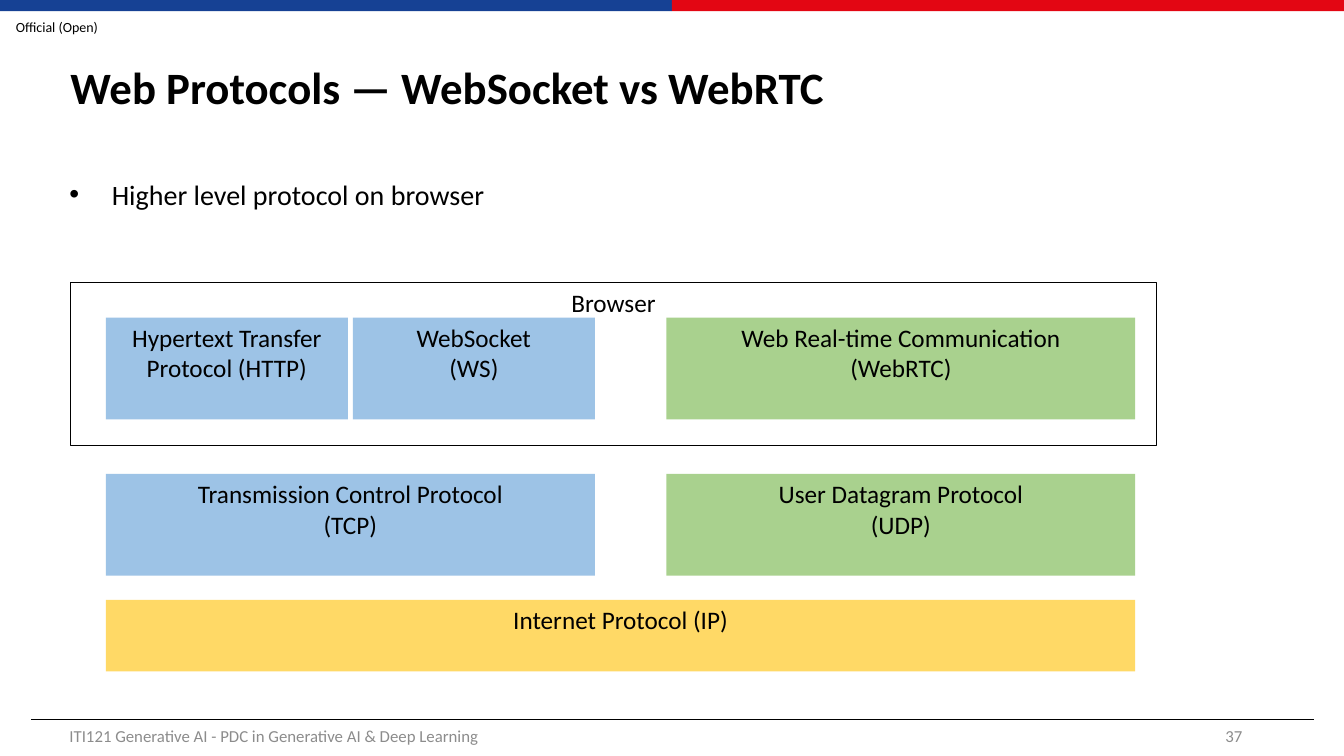
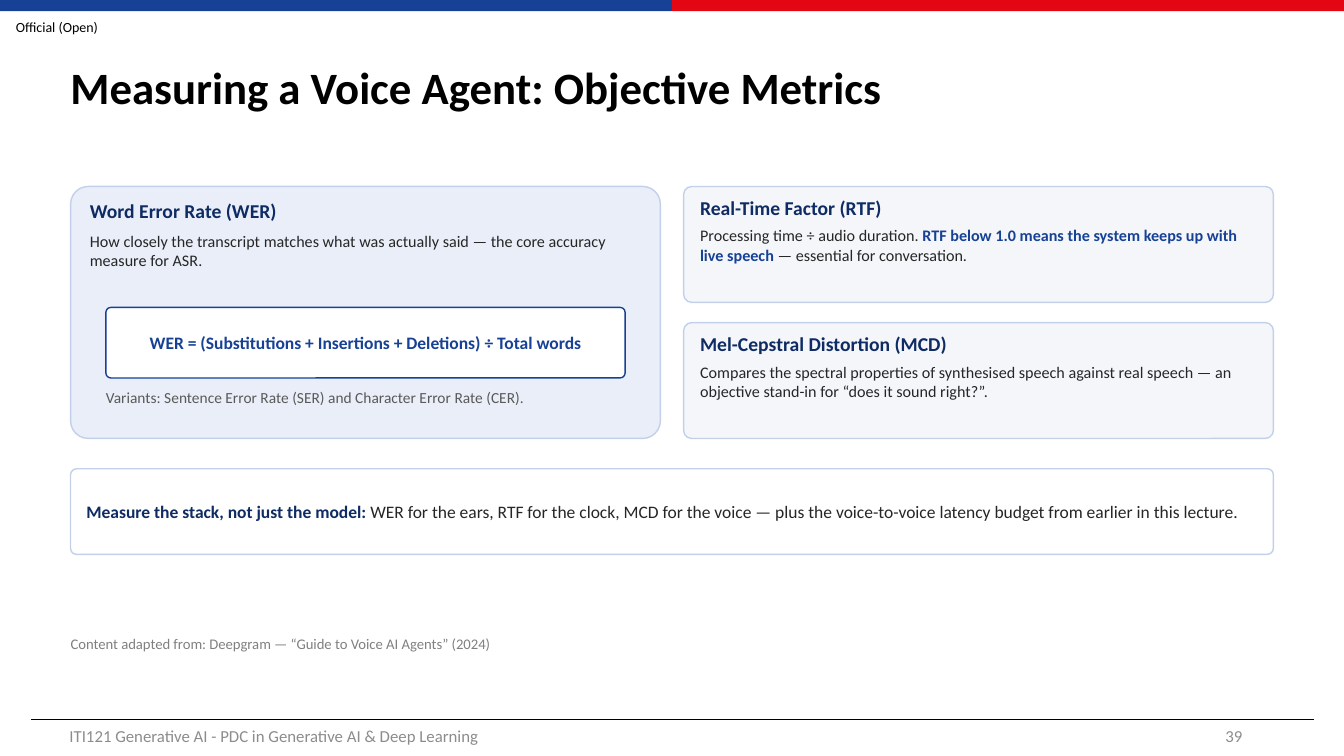
from lxml.etree import SubElement
from pptx import Presentation
from pptx.dml.color import RGBColor
from pptx.enum.shapes import MSO_CONNECTOR, MSO_SHAPE
from pptx.enum.text import MSO_ANCHOR, PP_ALIGN
from pptx.oxml.ns import qn
from pptx.util import Inches, Pt

# Shared look
FONT = "Calibri"
WIDE, HIGH = 13.33, 7.5
BLACK = RGBColor(0x00, 0x00, 0x00)
WHITE = RGBColor(0xFF, 0xFF, 0xFF)
BLUE = RGBColor(0x16, 0x41, 0x94)
RED = RGBColor(0xE3, 0x06, 0x13)
NAVY = RGBColor(0x0E, 0x2B, 0x63)
INK = RGBColor(0x26, 0x26, 0x26)
SLATE = RGBColor(0x59, 0x59, 0x59)
GREY = RGBColor(0x80, 0x80, 0x80)
FOOT = RGBColor(0x8C, 0x8C, 0x8C)
EDGE = RGBColor(0xC3, 0xD0, 0xEA)
PALE = RGBColor(0xE9, 0xEE, 0xF8)
MIST = RGBColor(0xF4, 0xF6, 0xFA)
SKY = RGBColor(0x9D, 0xC3, 0xE6)
GREEN = RGBColor(0xA9, 0xD1, 0x8E)
GOLD = RGBColor(0xFF, 0xD9, 0x66)
LEFT, MID, RIGHT = PP_ALIGN.LEFT, PP_ALIGN.CENTER, PP_ALIGN.RIGHT
TOP, HALF = MSO_ANCHOR.TOP, MSO_ANCHOR.MIDDLE


def write(frame, text, size=18, color=BLACK, bold=False, align=LEFT,
          after=0, lead=1.0, bullet=False, join=False):
    """Add a paragraph, or with join a further run in the last one."""
    if join or not frame.text:
        para = frame.paragraphs[-1]
    else:
        para = frame.add_paragraph()
    if not join:
        para.alignment = align
        para.space_after = Pt(after)
        para.line_spacing = lead
    if bullet:
        props = para._p.get_or_add_pPr()
        props.set("marL", str(Inches(0.42)))
        props.set("indent", str(Inches(-0.42)))
        SubElement(props, qn("a:buFont")).set("typeface", "Arial")
        SubElement(props, qn("a:buChar")).set("char", "•")
    run = para.add_run()
    run.text = text
    font = run.font
    font.name, font.size, font.bold = FONT, Pt(size), bold
    font.color.rgb = color


def setup(frame, anchor, pad):
    frame.word_wrap = True
    frame.vertical_anchor = anchor
    frame.margin_left = frame.margin_right = Inches(pad[0])
    frame.margin_top = frame.margin_bottom = Inches(pad[1])
    return frame


def label(slide, x, y, w, h, text, anchor=TOP, pad=(0, 0), **style):
    box = slide.shapes.add_textbox(Inches(x), Inches(y), Inches(w), Inches(h))
    write(setup(box.text_frame, anchor, pad), text, **style)


def block(slide, x, y, w, h, fill=None, line=None, width=1, curve=None,
          anchor=TOP, pad=(0.1, 0.05)):
    kind = MSO_SHAPE.RECTANGLE if curve is None else MSO_SHAPE.ROUNDED_RECTANGLE
    shape = slide.shapes.add_shape(kind, Inches(x), Inches(y), Inches(w), Inches(h))
    shape.shadow.inherit = False
    if curve is not None:
        shape.adjustments[0] = curve
    if fill is None:
        shape.fill.background()
    else:
        shape.fill.solid()
        shape.fill.fore_color.rgb = fill
    if line is None:
        shape.line.fill.background()
    else:
        shape.line.color.rgb = line
        shape.line.width = Pt(width)
    return setup(shape.text_frame, anchor, pad)


def layer(slide, x, y, w, h, lines, **look):
    frame = block(slide, x, y, w, h, **look)
    for text in lines:
        write(frame, text, align=MID)


def card(slide, x, y, w, h, fill, line=EDGE, anchor=TOP):
    return block(slide, x, y, w, h, fill, line, curve=0.07, anchor=anchor,
                 pad=(0.14, 0.09))


def topic(slide, x, y, w, h, fill, head, runs, after=4):
    """Card with a heading and a body of (text, stressed) runs."""
    frame = card(slide, x, y, w, h, fill)
    write(frame, head, size=14, color=NAVY, bold=True, after=after, lead=0.95)
    for i, (text, stress) in enumerate(runs):
        write(frame, text, size=11.5, color=BLUE if stress else INK,
              bold=stress, join=i > 0)


def start(deck, title, page):
    slide = deck.slides.add_slide(deck.slide_layouts[6])
    # Top band and marking
    for i, color in enumerate((BLUE, RED)):
        block(slide, i * WIDE / 2, 0, WIDE / 2, 0.11, color)
    label(slide, 0, 0.12, 1.13, 0.29, "Official (Open)", HALF, size=10, align=MID)
    # Footer
    rule = slide.shapes.add_connector(
        MSO_CONNECTOR.STRAIGHT, Inches(0.31), Inches(7.14), Inches(13.03), Inches(7.14))
    rule.line.color.rgb = BLACK
    rule.line.width = Pt(0.5)
    SubElement(rule._element.spPr, qn("a:effectLst"))
    inset = (0.1, 0.05)
    label(slide, 0.59, 7.1, 4.5, 0.4,
          "ITI121 Generative AI - PDC in Generative AI & Deep Learning",
          HALF, inset, size=12, color=FOOT)
    label(slide, 9.42, 7.1, 3, 0.4, str(page), HALF, inset,
          size=12, color=FOOT, align=RIGHT)
    # Title
    label(slide, 0.6, 0.3, 12.08, 1.18, title, HALF, inset,
          size=32, bold=True, lead=0.9)
    return slide


def stack(deck):
    slide = start(deck, "Web Protocols — WebSocket vs WebRTC", 37)
    label(slide, 0.59, 1.71, 12.08, 5.24, "Higher level protocol on browser",
          pad=(0.1, 0.05), size=20, bullet=True)
    # Protocol layers, from the network up
    west, east, tall, gap = 1.05, 6.61, 1.01, 0.05
    wide, slim = 4.85, 4.65
    half = (wide - gap) / 2
    low, high = 4.7, 3.15
    layer(slide, west, 5.95, east + slim - west, 0.71,
          ["Internet Protocol (IP)"], fill=GOLD)
    for x, y, w, fill, lines in (
            (west, low, wide, SKY, ["Transmission Control Protocol", "(TCP)"]),
            (east, low, slim, GREEN, ["User Datagram Protocol", "(UDP)"]),
            (west, high, half, SKY, ["Hypertext Transfer Protocol (HTTP)"]),
            (west + half + gap, high, half, SKY, ["WebSocket", "(WS)"]),
            (east, high, slim, GREEN, ["Web Real-time Communication", "(WebRTC)"])):
        layer(slide, x, y, w, tall, lines, fill=fill)
    # Browser frame
    layer(slide, 0.7, 2.8, 10.77, 1.62, ["Browser"], line=BLACK, width=0.75)


def metrics(deck):
    slide = start(deck, "Measuring a Voice Agent: Objective Metrics", 39)
    west, east, top, wide = 0.7, 6.78, 1.85, 5.85
    full = east + wide - west
    tall, gap = 1.15, 0.2
    # Word error rate
    topic(slide, west, top, wide, 2 * tall + gap, PALE, "Word Error Rate (WER)",
          [("How closely the transcript matches what was actually said — "
            "the core accuracy measure for ASR.", False)], after=6)
    inner = west + 0.35
    rate = card(slide, inner, 3.05, wide - 0.7, 0.7, WHITE, BLUE, HALF)
    write(rate, "WER = (Substitutions + Insertions + Deletions) ÷ Total words",
          size=12.5, color=BLUE, bold=True, align=MID)
    label(slide, inner, 3.85, wide - 0.7, 0.4,
          "Variants: Sentence Error Rate (SER) and Character Error Rate (CER).",
          size=11, color=SLATE)
    # Speed and sound
    side = (
        ("Real-Time Factor (RTF)",
         [("Processing time ÷ audio duration. ", False),
          ("RTF below 1.0 means the system keeps up with live speech", True),
          (" — essential for conversation.", False)]),
        ("Mel-Cepstral Distortion (MCD)",
         [("Compares the spectral properties of synthesised speech against real "
           "speech — an objective stand-in for “does it sound right?”.", False)]))
    for i, (head, runs) in enumerate(side):
        topic(slide, east, top + i * (tall + gap), wide, tall, MIST, head, runs)
    # Takeaway and credit
    note = card(slide, west, 4.65, full, 0.85, WHITE, anchor=HALF)
    write(note, "Measure the stack, not just the model: ",
          size=12.5, color=NAVY, bold=True)
    write(note, "WER for the ears, RTF for the clock, MCD for the voice — plus the "
          "voice-to-voice latency budget from earlier in this lecture.",
          size=12.5, color=INK, join=True)
    label(slide, west, 6.3, full, 0.3,
          "Content adapted from: Deepgram — “Guide to Voice AI Agents” (2024)",
          size=10.5, color=GREY)


def main():
    deck = Presentation()
    deck.slide_width, deck.slide_height = Inches(WIDE), Inches(HIGH)
    stack(deck)
    metrics(deck)
    deck.save("out.pptx")


if __name__ == "__main__":
    main()
